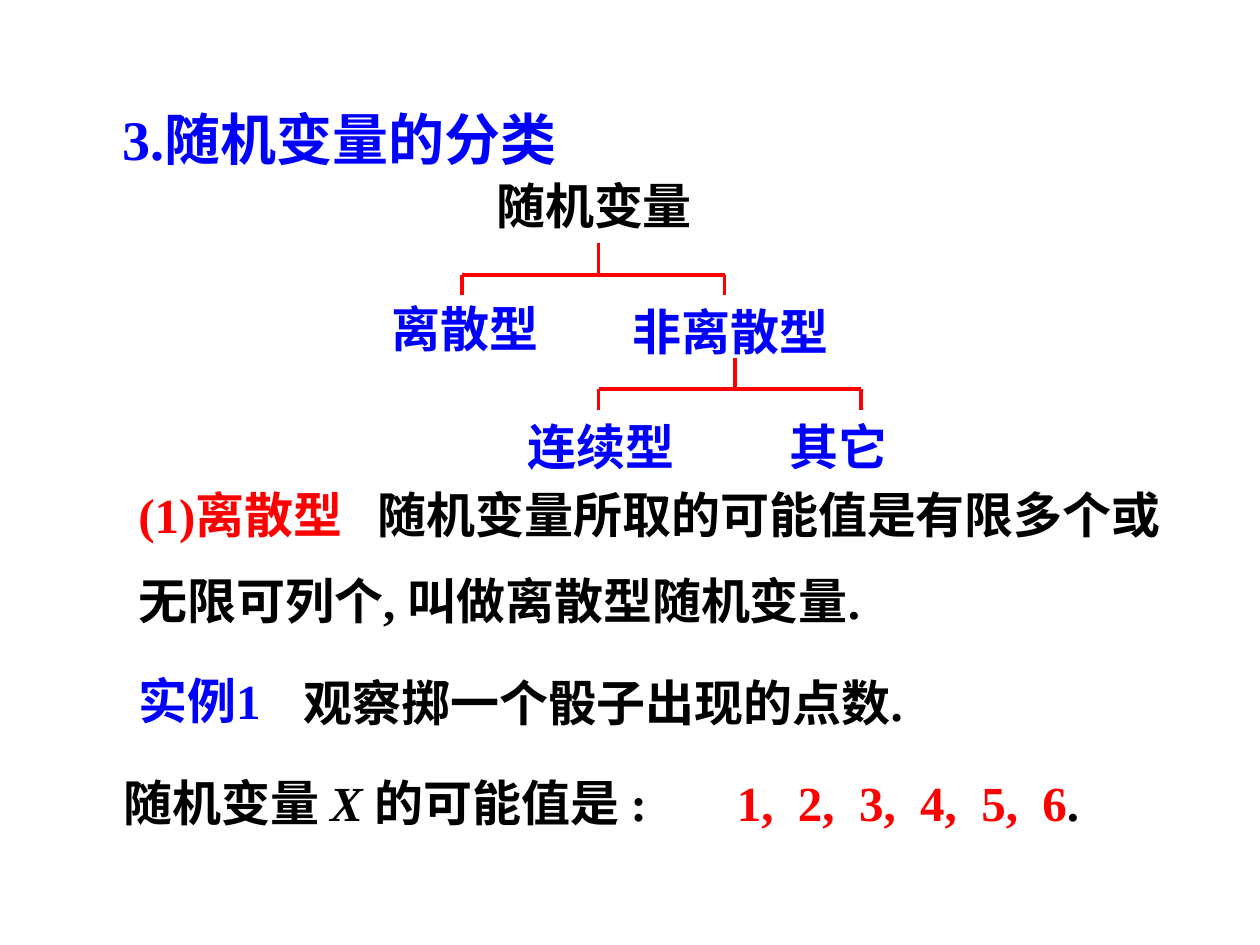
from lxml import etree
from pptx import Presentation
from pptx import util as u
from pptx.dml.color import RGBColor
from pptx.enum import shapes, text
from pptx.oxml.ns import qn

BLUE = RGBColor(0x00, 0x00, 0xFF)
RED = RGBColor(0xFF, 0x00, 0x00)
BLACK = RGBColor(0x00, 0x00, 0x00)
LATIN = "Times New Roman"
CJK = "Noto Sans CJK SC"
BRANCH_WIDTH = 2.08


def add_span(para, wording, color, font=LATIN, size=28, italic=False):
    span = para.add_run()
    span.text = wording
    span.font.name = font
    span.font.size = u.Pt(size)
    span.font.bold = True
    span.font.italic = italic
    span.font.color.rgb = color
    east_asian = etree.Element(qn("a:ea"), typeface=CJK)
    span.font._element.find(qn("a:latin")).addnext(east_asian)


def add_tabs(para, stops):
    tab_list = etree.SubElement(para._p.get_or_add_pPr(), qn("a:tabLst"))
    for stop in stops:
        etree.SubElement(tab_list, qn("a:tab"), pos=str(u.Inches(stop)), algn="l")


def add_box(page, left, top, width, height=0.57, wrap=False):
    box = page.shapes.add_textbox(*map(u.Inches, (left, top, width, height)))
    box.text_frame.word_wrap = wrap
    box.text_frame.auto_size = text.MSO_AUTO_SIZE.SHAPE_TO_FIT_TEXT
    return box.text_frame


def add_label(page, wording, left, top, width, color=BLUE):
    para = add_box(page, left, top, width).paragraphs[0]
    add_span(para, wording, color)


def add_line(page, start, end):
    points = map(u.Inches, (*start, *end))
    line = page.shapes.add_connector(shapes.MSO_CONNECTOR.STRAIGHT, *points)
    line.line.color.rgb = RED
    line.line.width = u.Pt(2.25)
    etree.SubElement(line._element.spPr, qn("a:effectLst"))


def add_branch(page, left, top):
    right = left + BRANCH_WIDTH
    middle = left + BRANCH_WIDTH / 2 + 0.04
    add_line(page, (left, top), (right, top))
    for x in (left, right):
        add_line(page, (x, top), (x, top + 0.16))
    add_line(page, (middle, top), (middle, top - 0.25))


def add_title(page):
    para = add_box(page, 0.87, 0.78, 3.85, 0.64).paragraphs[0]
    add_span(para, "3.", BLUE, size=32)
    add_span(para, "随机变量的分类", BLUE, CJK, 32)


def add_tree(page):
    add_label(page, "随机变量", 3.84, 1.34, 1.8, BLACK)
    add_branch(page, 3.67, 2.18)
    add_label(page, "离散型", 3.01, 2.32, 1.42)
    add_label(page, "非离散型", 4.92, 2.34, 1.8)
    add_branch(page, 4.75, 3.09)
    add_label(page, "连续型", 4.09, 3.26, 1.42)
    add_label(page, "其它", 6.17, 3.26, 1.03)


def add_definition(page):
    frame = add_box(page, 1, 3.83, 8.83, 1.23, wrap=True)
    first = frame.paragraphs[0]
    first.line_spacing = 0.95
    add_tabs(first, [1.9])
    add_span(first, "(1)", RED)
    add_span(first, "离散型", RED, CJK)
    add_span(first, "\t随机变量所取的可能值是有限多个或", BLACK, CJK)

    second = frame.add_paragraph()
    second.line_spacing = 0.95
    second.space_before = u.Pt(17.5)
    add_span(second, "无限可列个", BLACK, CJK)
    add_span(second, ", ", BLACK)
    add_span(second, "叫做离散型随机变量", BLACK, CJK)
    add_span(second, ".", BLACK)


def add_example(page):
    add_label(page, "实例1", 1, 5.27, 1.33)
    add_label(page, "观察掷一个骰子出现的点数.", 2.31, 5.29, 5.1, BLACK)

    variable = add_box(page, 0.88, 6.08, 4.7).paragraphs[0]
    add_span(variable, "随机变量 ", BLACK)
    add_span(variable, "X ", BLACK, italic=True)
    add_span(variable, "的可能值是 :", BLACK)

    values = add_box(page, 5.75, 6.08, 3, wrap=True).paragraphs[0]
    add_tabs(values, [0.485 * step for step in range(1, 6)])
    add_span(values, ",\t".join(str(face) for face in range(1, 7)), RED)
    add_span(values, ".", BLACK)


def main():
    deck = Presentation()
    deck.slide_width = u.Inches(10)
    deck.slide_height = u.Inches(7.5)
    page = deck.slides.add_slide(deck.slide_layouts[6])
    add_title(page)
    add_tree(page)
    add_definition(page)
    add_example(page)
    deck.save("out.pptx")


if __name__ == "__main__":
    main()
